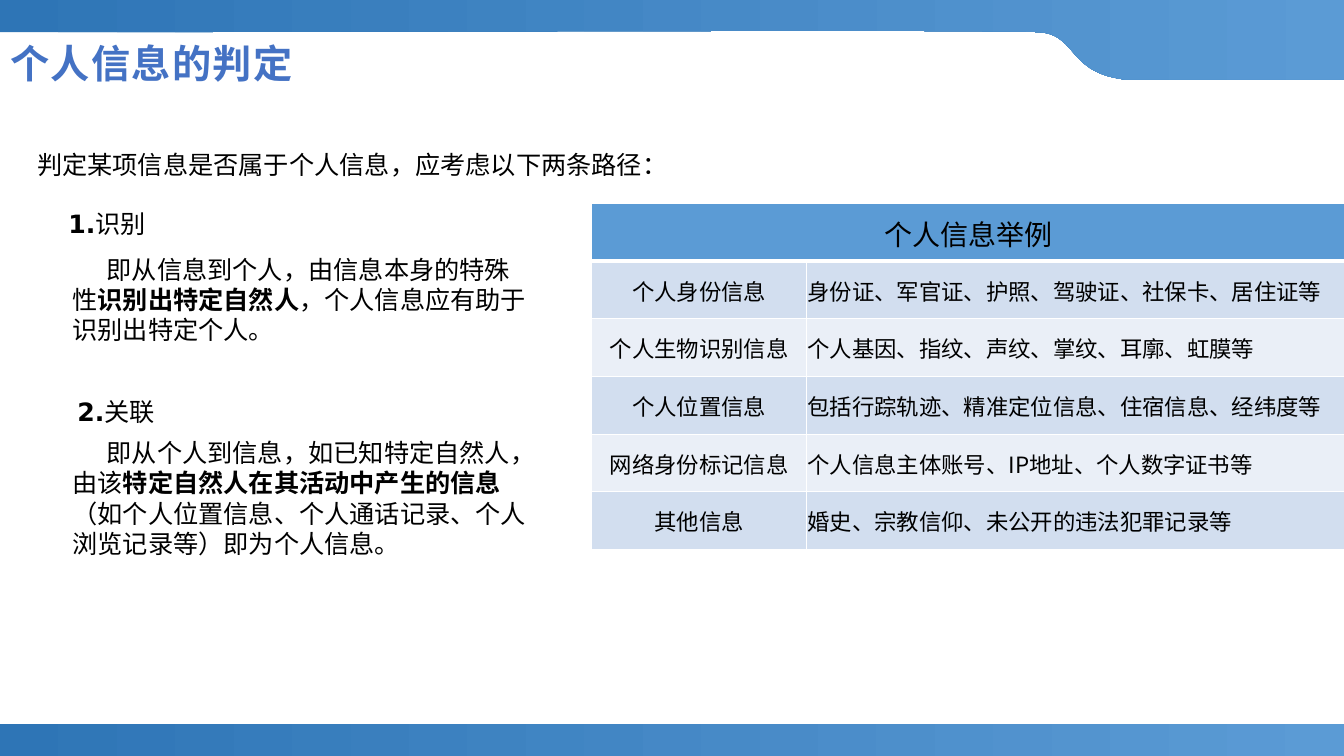
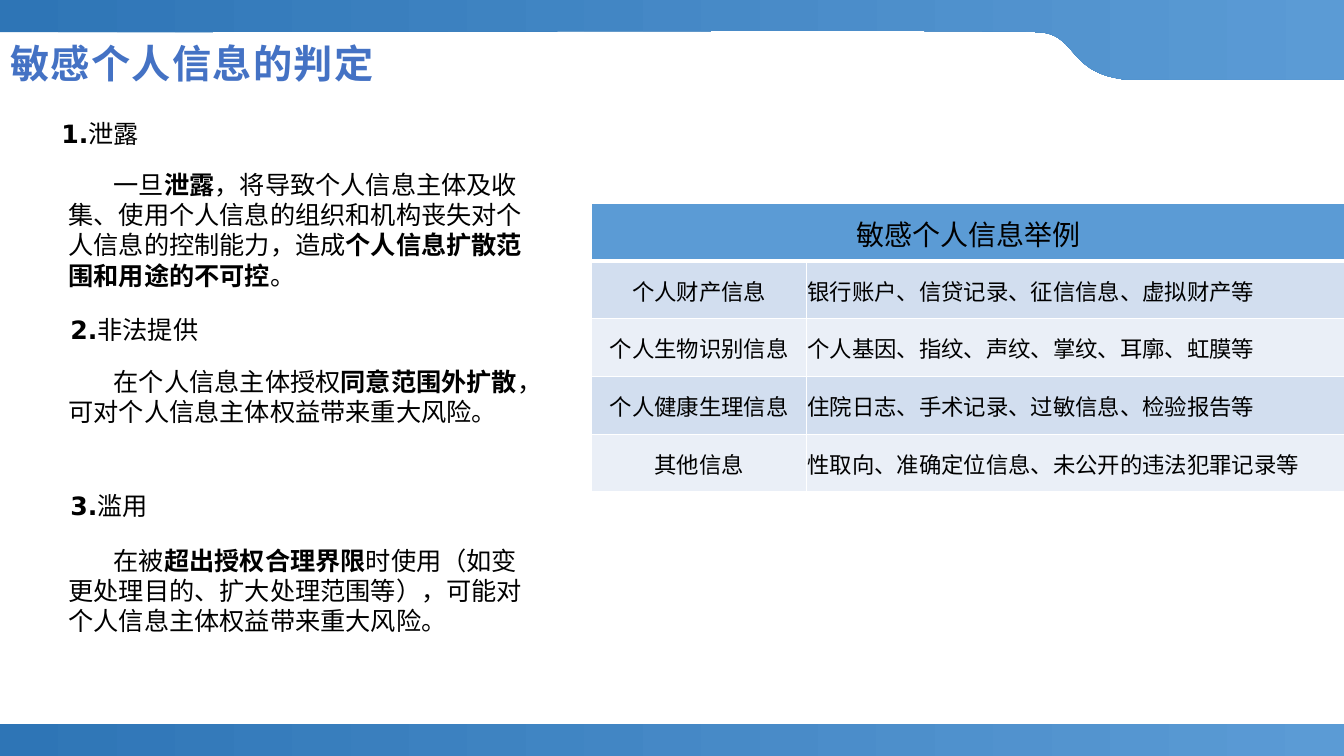
from dataclasses import dataclass

from lxml import etree
from pptx import Presentation
from pptx.dml.color import RGBColor
from pptx.enum.text import MSO_ANCHOR as Anchor, MSO_AUTO_SIZE as AutoSize, PP_ALIGN as Align
from pptx.enum.shapes import MSO_SHAPE as Shape
from pptx.oxml.ns import qn
from pptx.util import Inches, Pt


@dataclass(frozen=True)
class Theme:
    dark: str = "2E75B6"
    light: str = "5B9BD5"
    title: str = "4472C4"
    text: str = "000000"
    white: str = "FFFFFF"
    rows: tuple = ("D2DEEF", "EAEFF7")
    title_font: str = "Times New Roman"
    body_font: str = "DejaVu Sans"
    table_font: str = "Noto Sans CJK SC"
    title_size: int = 28
    header_size: int = 20
    body_size: int = 18
    cell_size: int = 16


T = Theme()
WIDTH, HEIGHT = 13.33, 7.5
TABLE_LEFT, TABLE_TOP, ROW_HEIGHT = 5.87, 2.02, 3.43 / 6
COLUMNS = (2.13, 5.34)


def add_run(p, text, size, font, color=T.text, bold=False, east_asian=T.body_font):
    r = p.add_run()
    r.text = text
    r.font.size = Pt(size)
    r.font.bold = bold
    r.font.name = font
    r.font.color.rgb = RGBColor.from_string(color)
    ea = etree.SubElement(r._r.get_or_add_rPr(), qn("a:ea"))
    ea.set("typeface", east_asian)
    return r


def set_margins(target, left, top, right, bottom):
    target.margin_left, target.margin_top = Inches(left), Inches(top)
    target.margin_right, target.margin_bottom = Inches(right), Inches(bottom)


def place(sp, left, top, width, height):
    sp.left, sp.top = Inches(left), Inches(top)
    sp.width, sp.height = Inches(width), Inches(height)


def add_rectangle(s, top, height):
    sp = s.shapes.add_shape(Shape.RECTANGLE, 0, Inches(top), Inches(WIDTH), Inches(height))
    sp.shadow.inherit = False
    sp.line.fill.background()
    return sp


def fill_gradient(sp):
    sp.shadow.inherit = False
    sp.line.fill.background()
    sp.fill.gradient()
    sp.fill.gradient_angle = 0
    for stop, color in zip(sp.fill.gradient_stops, (T.dark, T.light)):
        stop.color.rgb = RGBColor.from_string(color)


def curve(p0, p1, p2, p3, steps=24):
    for i in range(1, steps + 1):
        t = i / steps
        u = 1 - t
        yield tuple(u**3 * a + 3 * u * u * t * b + 3 * u * t * t * c + t**3 * d
                    for a, b, c, d in zip(p0, p1, p2, p3))


def add_bands(s, layout):
    panel = add_rectangle(s, 0, 7.49)
    panel.fill.solid()
    panel.fill.fore_color.rgb = RGBColor.from_string(T.white)
    footer = add_rectangle(s, 7.18, 0.32)
    points = [(WIDTH, 0), (WIDTH, 0.79), (11.16, 0.79), (11.1, 0.78)]
    points += curve((11.1, 0.78), (10.6, 0.7), (10.67, 0.35), (10.32, 0.32))
    points += curve((10.32, 0.32), (9.97, 0.29), (3.44, 0.32), (0, 0.32))
    outline = s.shapes.build_freeform(0, 0)
    outline.add_line_segments([(Inches(x), Inches(y)) for x, y in points])
    header = outline.convert_to_shape()
    for sp in (footer, header):
        fill_gradient(sp)
    for i, sp in enumerate((panel, footer, header)):
        layout.shapes.element.insert(2 + i, sp.element)


def set_title(s, text):
    sp = s.shapes.title
    place(sp, 0, 0.29, 9.13, 0.57)
    tf = sp.text_frame
    tf.auto_size = AutoSize.NONE
    tf.word_wrap = True
    tf.vertical_anchor = Anchor.BOTTOM
    set_margins(tf, 0.1, 0.05, 0.1, 0)
    p = tf.paragraphs[0]
    p.alignment = Align.LEFT
    p.line_spacing = 0.9
    r = add_run(p, text, T.title_size, T.title_font, T.title, True)
    r.font._element.set("spc", "100")


def add_text(s, box, runs, font=T.body_font, indent=0):
    sp = s.shapes.add_textbox(*map(Inches, box))
    tf = sp.text_frame
    tf.word_wrap = True
    tf.auto_size = AutoSize.SHAPE_TO_FIT_TEXT
    p = tf.paragraphs[0]
    if indent:
        p._p.get_or_add_pPr().set("indent", str(Inches(indent)))
    for text, bold in runs:
        add_run(p, text, T.body_size, font, bold=bold)


def add_heading(s, left, top, number, label):
    add_text(s, (left, top, 2.32, 0.4), [(number, True), (label, False)])


def add_body(s, left, top, height, indent, *parts):
    runs = [(text, i % 2 == 1) for i, text in enumerate(parts)]
    add_text(s, (left, top, 4.75, height), runs, T.title_font, indent)


def set_border(cell, side, width):
    ln = etree.SubElement(cell._tc.get_or_add_tcPr(), qn("a:" + side), w=str(Pt(width)))
    fill = etree.SubElement(ln, qn("a:solidFill"))
    etree.SubElement(fill, qn("a:srgbClr"), val=T.white)


def format_cell(cell, color, bottom=1):
    for side, width in (("lnL", 1), ("lnR", 1), ("lnT", 1), ("lnB", bottom)):
        set_border(cell, side, width)
    cell.fill.solid()
    cell.fill.fore_color.rgb = RGBColor.from_string(color)
    cell.vertical_anchor = Anchor.MIDDLE
    set_margins(cell, 0.01, 0.01, 0.01, 0)


def write_cell(cell, text, size, align):
    p = cell.text_frame.paragraphs[0]
    p.alignment = align
    add_run(p, text, size, T.table_font, east_asian=T.table_font)


def add_examples(s, title, rows):
    count = len(rows) + 1
    frame = s.shapes.add_table(count, 2, Inches(TABLE_LEFT), Inches(TABLE_TOP),
                               Inches(sum(COLUMNS)), Inches(ROW_HEIGHT * count))
    table = frame.table
    for column, width in zip(table.columns, COLUMNS):
        column.width = Inches(width)
    for row in table.rows:
        row.height = Inches(ROW_HEIGHT)
    for cell in table.rows[0].cells:
        format_cell(cell, T.light, 3)
    table.cell(0, 0).merge(table.cell(0, 1))
    write_cell(table.cell(0, 0), title, T.header_size, Align.CENTER)
    for i, row in enumerate(rows):
        for j, (text, align) in enumerate(zip(row, (Align.CENTER, Align.LEFT))):
            cell = table.cell(i + 1, j)
            format_cell(cell, T.rows[i % 2])
            write_cell(cell, text, T.cell_size, align)


def build_personal(s):
    set_title(s, "个人信息的判定")
    add_text(s, (0.27, 1.43, 6.63, 0.4),
             [("判定某项信息是否属于个人信息，应考虑以下两条路径：", False)])
    add_heading(s, 0.58, 2.02, "1.", "识别")
    add_body(s, 0.62, 2.47, 1.01, 0.34, "即从信息到个人，由信息本身的特殊性",
             "识别出特定自然人", "，个人信息应有助于识别出特定个人。")
    add_heading(s, 0.67, 3.88, "2.", "关联")
    add_body(s, 0.62, 4.29, 1.62, 0.34, "即从个人到信息，如已知特定自然人，由该",
             "特定自然人在其活动中产生的信息",
             "（如个人位置信息、个人通话记录、个人浏览记录等）即为个人信息。")
    add_examples(s, "个人信息举例", [
        ("个人身份信息", "身份证、军官证、护照、驾驶证、社保卡、居住证等"),
        ("个人生物识别信息", "个人基因、指纹、声纹、掌纹、耳廓、虹膜等"),
        ("个人位置信息", "包括行踪轨迹、精准定位信息、住宿信息、经纬度等"),
        ("网络身份标记信息", "个人信息主体账号、IP地址、个人数字证书等"),
        ("其他信息", "婚史、宗教信仰、未公开的违法犯罪记录等"),
    ])


def build_sensitive(s):
    set_title(s, "敏感个人信息的判定")
    add_heading(s, 0.51, 1.12, "1.", "泄露")
    add_body(s, 0.58, 1.63, 1.31, 0.45, "一旦", "泄露",
             "，将导致个人信息主体及收集、使用个人信息的组织和机构丧失对个人信息的控制能力，造成",
             "个人信息扩散范围和用途的不可控", "。")
    add_heading(s, 0.6, 3.07, "2.", "非法提供")
    add_body(s, 0.58, 3.58, 0.71, 0.45, "在个人信息主体授权", "同意范围外扩散",
             "，可对个人信息主体权益带来重大风险。")
    add_heading(s, 0.6, 4.82, "3.", "滥用")
    add_body(s, 0.58, 5.36, 1.01, 0.45, "在被", "超出授权合理界限",
             "时使用（如变更处理目的、扩大处理范围等），可能对个人信息主体权益带来重大风险。")
    add_examples(s, "敏感个人信息举例", [
        ("个人财产信息", "银行账户、信贷记录、征信信息、虚拟财产等"),
        ("个人生物识别信息", "个人基因、指纹、声纹、掌纹、耳廓、虹膜等"),
        ("个人健康生理信息", "住院日志、手术记录、过敏信息、检验报告等"),
        ("其他信息", "性取向、准确定位信息、未公开的违法犯罪记录等"),
    ])


def main():
    prs = Presentation()
    prs.slide_width, prs.slide_height = Inches(WIDTH), Inches(HEIGHT)
    layout = prs.slide_layouts[5]
    personal, sensitive = (prs.slides.add_slide(layout) for _ in range(2))
    add_bands(personal, layout)
    build_personal(personal)
    build_sensitive(sensitive)
    prs.save("out.pptx")


if __name__ == "__main__":
    main()
